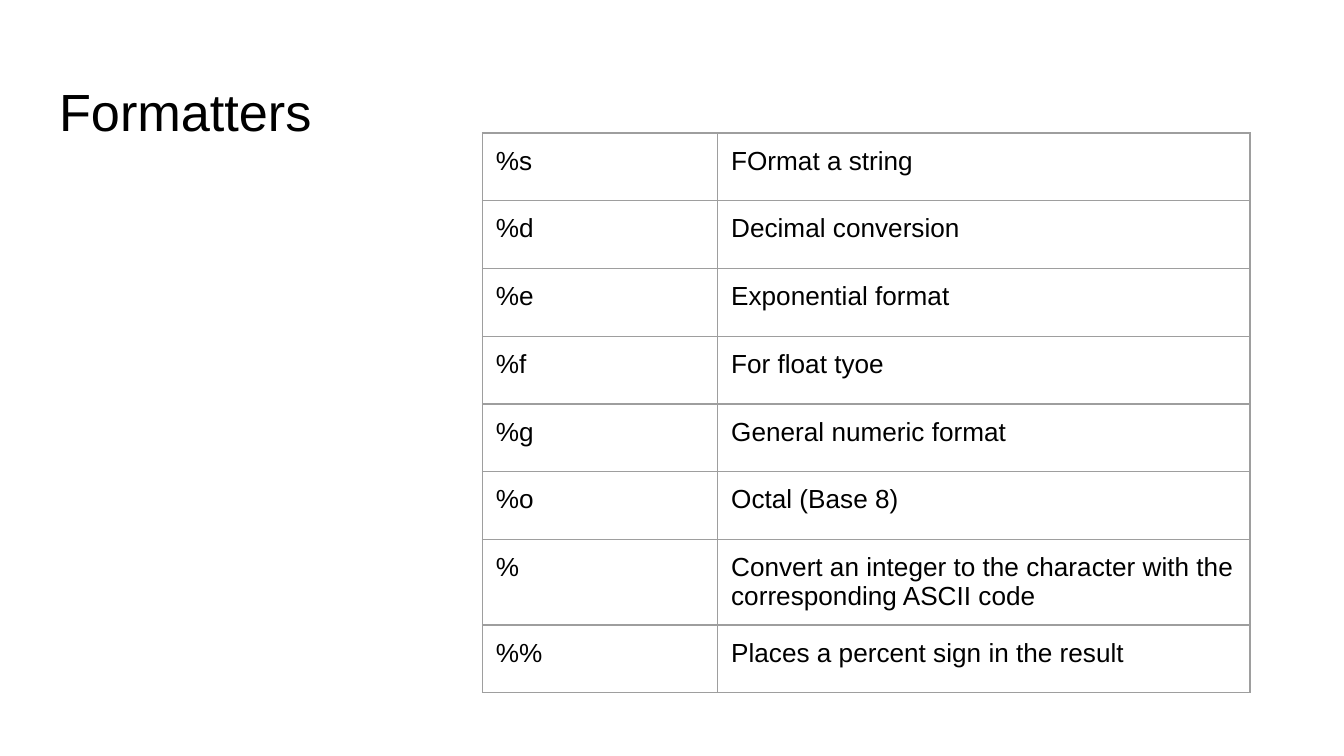
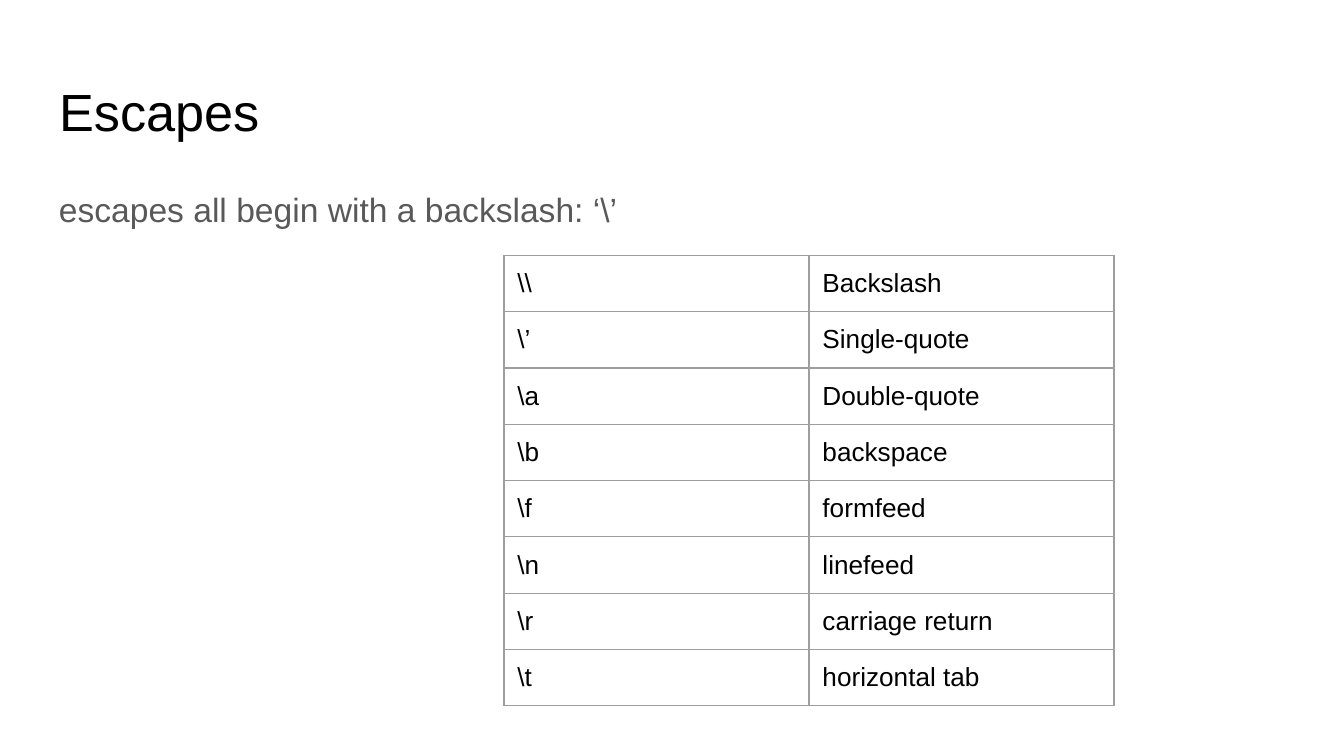
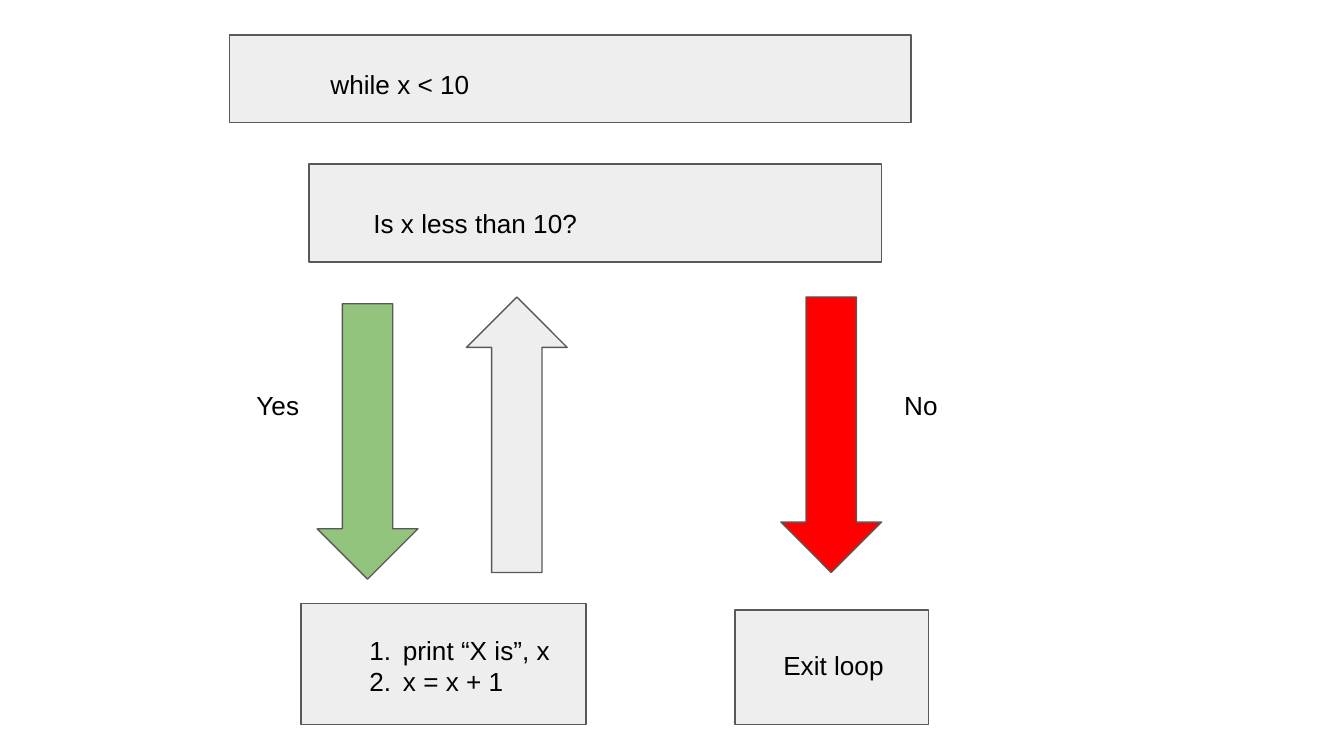
"""Build three slides on string formatters, escapes and a while loop."""
from lxml import etree
from pptx import Presentation
from pptx import util as u
from pptx.dml.color import RGBColor
from pptx.enum import shapes, text
from pptx.oxml import ns

BLACK = RGBColor(0x00, 0x00, 0x00)
GREY = RGBColor(0x59, 0x59, 0x59)
PALE = RGBColor(0xEE, 0xEE, 0xEE)
BORDER = RGBColor(0x9E, 0x9E, 0x9E)
GREEN = RGBColor(0x93, 0xC4, 0x7D)
RED = RGBColor(0xFF, 0x00, 0x00)

RECT = shapes.MSO_SHAPE.RECTANGLE
ARROW = shapes.MSO_SHAPE.DOWN_ARROW

FORMATTERS = [
    ("%s", "FOrmat a string"),
    ("%d", "Decimal conversion"),
    ("%e", "Exponential format"),
    ("%f", "For float tyoe"),
    ("%g", "General numeric format"),
    ("%o", "Octal (Base 8)"),
    ("%", "Convert an integer to the character with the corresponding ASCII code"),
    ("%%", "Places a percent sign in the result"),
]
ESCAPES = [
    (r"\\", "Backslash"),
    (r"\’", "Single-quote"),
    (r"\a", "Double-quote"),
    (r"\b", "backspace"),
    (r"\f", "formfeed"),
    (r"\n", "linefeed"),
    (r"\r", "carriage return"),
    (r"\t", "horizontal tab"),
]


class Deck:
    """Holds the style and the current slide on a grid of 100 columns."""

    FONT = "Arial"
    CELL = u.Inches(0.1)
    INSET = u.Inches(0.1)
    LINE = u.Pt(0.75)
    TITLE_ONLY, BLANK = 5, 6

    def __init__(self):
        self.prs = Presentation()
        self.prs.slide_width = self.grid(100)
        self.prs.slide_height = self.grid(56.25)
        self.s = None

    def grid(self, n):
        return u.Emu(round(n * self.CELL))

    def box(self, *cells):
        return [self.grid(n) for n in cells]

    def slide(self, title=None):
        layout = self.BLANK if title is None else self.TITLE_ONLY
        self.s = self.prs.slides.add_slide(self.prs.slide_layouts[layout])
        if title is not None:
            sp = self.s.shapes.title
            sp.left, sp.top, sp.width, sp.height = self.box(3.4, 4.9, 93.2, 6.3)
            self.fill_text(sp.text_frame, [title], 28)

    def fill_text(self, tf, lines, size=14, color=BLACK):
        tf.word_wrap = True
        tf.auto_size = text.MSO_AUTO_SIZE.NONE
        tf.vertical_anchor = text.MSO_ANCHOR.TOP
        tf.margin_left = tf.margin_right = self.INSET
        tf.margin_top = tf.margin_bottom = self.INSET
        for i, line in enumerate(lines):
            p = tf.add_paragraph() if i else tf.paragraphs[0]
            p.alignment = text.PP_ALIGN.LEFT
            self.add_text(p, line, size, color)

    def add_text(self, p, line, size, color):
        r = p.add_run()
        r.text = line
        r.font.name, r.font.size = self.FONT, u.Pt(size)
        r.font.color.rgb = color

    def label(self, at, *lines, size=14, color=BLACK):
        tf = self.s.shapes.add_textbox(*self.box(*at)).text_frame
        self.fill_text(tf, lines, size, color)
        return tf

    def body(self, at, line):
        p = self.label(at, line, size=18, color=GREY).paragraphs[0]
        p.line_spacing, p.space_after = 1.15, u.Pt(16)

    def steps(self, at, *lines):
        for p in self.label(at, *lines).paragraphs:
            pPr = p._p.get_or_add_pPr()
            pPr.set("marL", str(u.Inches(0.5)))
            pPr.set("indent", str(u.Inches(-0.25)))
            etree.SubElement(pPr, ns.qn("a:buFont"), typeface=self.FONT)
            etree.SubElement(pPr, ns.qn("a:buAutoNum"), type="arabicPeriod")

    def shape(self, kind, at, fill=PALE, turn=0):
        sp = self.s.shapes.add_shape(kind, *self.box(*at))
        sp.shadow.inherit = False
        sp.fill.solid()
        sp.fill.fore_color.rgb = fill
        sp.line.color.rgb, sp.line.width = GREY, self.LINE
        sp.rotation = turn

    def arrow(self, left, top, fill, turn=0):
        self.shape(ARROW, (left, top, 7.5, 20.5), fill, turn)

    def table(self, left, top, columns, row, rows):
        at = self.box(left, top, sum(columns), row * len(rows))
        tbl = self.s.shapes.add_table(len(rows), len(columns), *at).table
        tbl.first_row = tbl.horz_banding = False
        for column, width in zip(tbl.columns, columns):
            column.width = self.grid(width)
        for i, values in enumerate(rows):
            tbl.rows[i].height = self.grid(row)
            for j, value in enumerate(values):
                self.cell(tbl.cell(i, j), value)

    def cell(self, cell, value):
        cell.margin_left = cell.margin_right = self.INSET
        cell.margin_top = cell.margin_bottom = self.INSET
        self.add_text(cell.text_frame.paragraphs[0], value, 14, BLACK)
        tcPr = cell._tc.get_or_add_tcPr()
        for side in "LRTB":
            ln = etree.SubElement(tcPr, ns.qn(f"a:ln{side}"), w=str(self.LINE))
            fill = etree.SubElement(ln, ns.qn("a:solidFill"))
            etree.SubElement(fill, ns.qn("a:srgbClr"), val=str(BORDER))
        cell.fill.background()


def main():
    deck = Deck()

    deck.slide("Formatters")
    deck.table(35.9, 9.9, (17.5, 39.6), 5.04, FORMATTERS)

    deck.slide("Escapes")
    deck.body((3.4, 12.6, 93.2, 37.4), r"escapes all begin with a backslash: ‘\’")
    deck.table(37.5, 19, (22.7, 22.7), 4.18, ESCAPES)

    deck.slide()
    deck.shape(RECT, (17.1, 2.6, 50.7, 6.5))
    deck.label((23.6, 4.1, 47.2, 5.5), "while x < 10")
    deck.arrow(23.6, 22.6, GREEN)
    deck.arrow(34.7, 22.1, PALE, turn=180)
    deck.shape(RECT, (23, 12.2, 42.6, 7.3))
    deck.label((26.8, 14.4, 34.7, 3.3), "Is x less than 10?")
    deck.arrow(58.1, 22.1, RED)
    deck.shape(RECT, (22.4, 44.9, 21.2, 9))
    deck.steps((24, 46.2, 18, 7.7), "print “X is”, x", "x = x + 1")
    deck.label((18.1, 28, 14.4, 4.9), "Yes")
    deck.shape(RECT, (54.7, 45.4, 14.4, 8.5))
    deck.label((57.3, 47.3, 18.7, 5.5), "Exit loop")
    deck.label((66.3, 28, 14.4, 4.5), "No")

    deck.prs.save("out.pptx")


if __name__ == "__main__":
    main()
